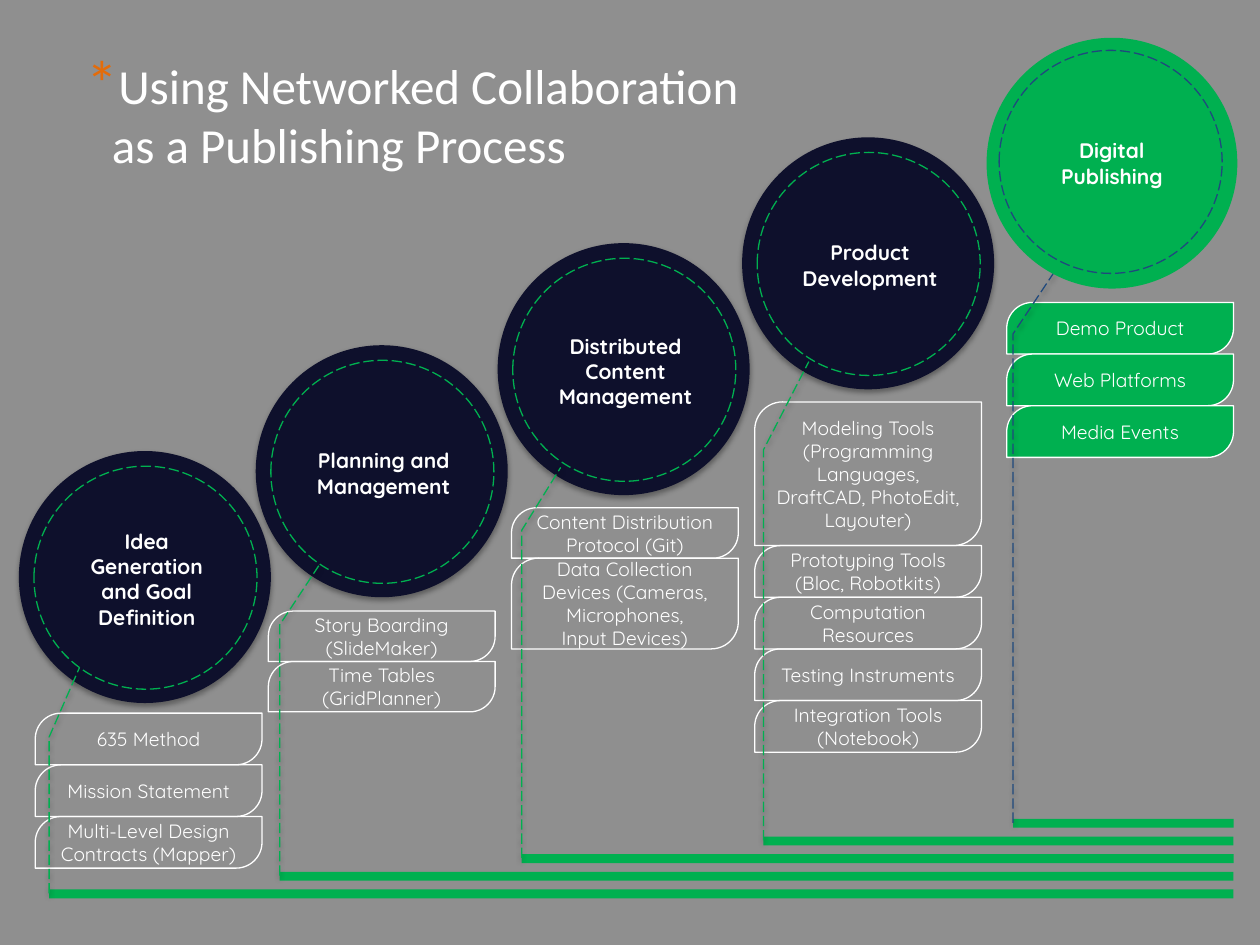
"""Build the networked collaboration staircase slide."""
from dataclasses import dataclass

import pptx
import pptx.dml.color
import pptx.enum.dml
import pptx.enum.shapes
import pptx.enum.text
import pptx.oxml
import pptx.oxml.ns
import pptx.util

Inches = pptx.util.Inches
Pt = pptx.util.Pt
RGBColor = pptx.dml.color.RGBColor
MSO_SHAPE = pptx.enum.shapes.MSO_SHAPE

WHITE = RGBColor(0xFF, 0xFF, 0xFF)
BLACK = RGBColor(0x00, 0x00, 0x00)
NAVY = RGBColor(0x1A, 0x1D, 0x4F)
GREEN = RGBColor(0x00, 0xB0, 0x50)
BLUE = RGBColor(0x1F, 0x49, 0x7D)
ORANGE = RGBColor(0xE4, 0x6C, 0x0A)

NS = pptx.oxml.ns.nsdecls("a")
SHADOW = (
    f'<a:effectLst {NS}><a:outerShdw blurRad="{Pt(3.1)}" dist="{Pt(1.8)}" dir="5400000" '
    'rotWithShape="0"><a:srgbClr val="000000"><a:alpha val="35000"/></a:srgbClr>'
    "</a:outerShdw></a:effectLst>"
)
LABEL = 1.99
RING = 1.77
ROW = 0.41
BAR_RIGHT = 9.79


@dataclass
class Stage:
    """One step: its circle, its boxes and the leader to its bar."""
    title: str
    circle: tuple
    boxes_at: tuple
    boxes: list
    bar_left: float
    elbow: float
    leader_end: tuple
    final: bool = False


STAGES = [
    Stage("Idea Generation and Goal Definition", (0.17, 3.6), (0.28, 5.66),
          [("635 Method", ROW), ("Mission Statement", ROW),
           ("Multi-Level Design Contracts (Mapper)", ROW)],
          0.39, 5.85, (0.63, 5.3)),
    Stage("Planning and Management", (2.05, 2.76), (2.13, 4.85),
          [("Story Boarding\n(SlideMaker)", 0.4), ("Time Tables\n(GridPlanner)", 0.4)],
          2.22, 4.96, (2.53, 4.49)),
    Stage("Distributed Content Management", (3.97, 1.95), (4.06, 4.03),
          [("Content Distribution Protocol (Git)", 0.4),
           ("Data Collection\nDevices (Cameras, Microphones,\nInput Devices)", 0.72)],
          4.14, 4.21, (4.45, 3.71)),
    Stage("Product Development", (5.91, 1.11), (5.99, 3.19),
          [("Modeling Tools\n(Programming Languages, DraftCAD, PhotoEdit, Layouter)", 1.14),
           ("Prototyping Tools\n(Bloc, Robotkits)", ROW), ("Computation Resources", ROW),
           ("Testing Instruments", ROW), ("Integration Tools\n(Notebook)", ROW)],
          6.06, 3.57, (6.42, 2.87)),
    Stage("Digital Publishing", (7.83, 0.3), (7.99, 2.4),
          [("Demo Product", ROW), ("Web Platforms", ROW), ("Media Events", ROW)],
          8.04, 2.65, (8.62, 1.78), True),
]


def write(sp, text, size=11, bold=False, font="Quicksand", color=WHITE,
          align=pptx.enum.text.PP_ALIGN.CENTER, anchor=pptx.enum.text.MSO_ANCHOR.MIDDLE):
    """Fill a shape with formatted paragraphs, one per line."""
    tf = sp.text_frame
    tf.word_wrap = True
    tf.vertical_anchor = anchor
    for i, line in enumerate(text.split("\n")):
        p = tf.add_paragraph() if i else tf.paragraphs[0]
        p.alignment = align
        r = p.add_run()
        r.text = line
        r.font.name = font
        r.font.size = Pt(size)
        r.font.bold = bold
        r.font.color.rgb = color


class Deck:
    """Holds the slide and draws its elements in one style."""

    def __init__(self, slide):
        self.s = slide
        self.line_width = Pt(0.75)

    def paint(self, sp, fill=None, line=None, dashed=False, shadow=False):
        """Set fill, outline and shadow."""
        sp.shadow.inherit = False
        if shadow:
            effects = sp._element.spPr.find(pptx.oxml.ns.qn("a:effectLst"))
            effects.getparent().replace(effects, pptx.oxml.parse_xml(SHADOW))
        if fill is None:
            sp.fill.background()
        else:
            sp.fill.solid()
            sp.fill.fore_color.rgb = fill
        if line is None:
            sp.line.fill.background()
        else:
            sp.line.color.rgb = line
            sp.line.width = self.line_width
            if dashed:
                sp.line.dash_style = pptx.enum.dml.MSO_LINE.LONG_DASH

    def shape(self, kind, x, y, w, h, **style):
        """Add a preset shape."""
        sp = self.s.shapes.add_shape(kind, Inches(x), Inches(y), Inches(w), Inches(h))
        self.paint(sp, **style)
        return sp

    def veil(self):
        """Dim everything drawn so far."""
        sp = self.shape(MSO_SHAPE.RECTANGLE, 0, 0, 10, 7.5, fill=BLACK)
        color = sp._element.spPr.find(".//" + pptx.oxml.ns.qn("a:srgbClr"))
        color.append(pptx.oxml.parse_xml(f'<a:alpha {NS} val="44000"/>'))

    def disc(self, stage):
        """Add the dark disc behind a circle."""
        x, y = stage.circle
        self.shape(MSO_SHAPE.OVAL, x - 0.02, y - 0.02, 2, 2, fill=NAVY, shadow=True)

    def boxes(self, stage):
        """Stack the boxes of a stage."""
        x, y = stage.boxes_at
        for text, height in stage.boxes:
            sp = self.shape(MSO_SHAPE.ROUND_2_DIAG_RECTANGLE, x, y, 1.8, height,
                            fill=GREEN if stage.final else None, line=WHITE)
            sp.adjustments[0] = min(0.5, 0.2 / height + 0.02)
            write(sp, text)
            y += height

    def leader(self, stage, bar_top):
        """Add the bar and the dashed line up to the circle."""
        x = stage.bar_left
        self.shape(MSO_SHAPE.RECTANGLE, x, bar_top, BAR_RIGHT - x, 0.07, fill=GREEN)
        fb = self.s.shapes.build_freeform(Inches(x), Inches(bar_top + 0.03))
        points = [(x, stage.elbow), stage.leader_end]
        fb.add_line_segments([(Inches(a), Inches(b)) for a, b in points], close=False)
        self.paint(fb.convert_to_shape(), line=BLUE if stage.final else GREEN,
                   dashed=True, shadow=True)

    def circle(self, stage):
        """Add the circle title and its dashed ring."""
        x, y = stage.circle
        sp = self.shape(MSO_SHAPE.OVAL, x, y, LABEL, LABEL,
                        fill=GREEN if stage.final else None)
        write(sp, stage.title, size=12, bold=True)
        self.shape(MSO_SHAPE.OVAL, x + 0.1, y + 0.1, RING, RING,
                   line=BLUE if stage.final else GREEN, dashed=True)

    def title(self, text):
        """Add the heading with its star bullet."""
        sp = self.s.shapes.add_textbox(Inches(0.54), Inches(0.39), Inches(5.76), Inches(1.41))
        pPr = sp.text_frame.paragraphs[0]._p.get_or_add_pPr()
        pPr.set("marL", str(Inches(0.25)))
        pPr.set("indent", str(Inches(-0.2)))
        for xml in (f'<a:buClr {NS}><a:srgbClr val="{ORANGE}"/></a:buClr>',
                    f'<a:buSzPct {NS} val="130000"/>',
                    f'<a:buFont {NS} typeface="Calibri"/>',
                    f'<a:buChar {NS} char="*"/>'):
            pPr.append(pptx.oxml.parse_xml(xml))
        write(sp, text, size=28, font="Calibri", align=pptx.enum.text.PP_ALIGN.LEFT,
              anchor=pptx.enum.text.MSO_ANCHOR.TOP)


def main():
    """Build and save the slide."""
    prs = pptx.Presentation()
    prs.slide_width, prs.slide_height = Inches(10), Inches(7.5)
    deck = Deck(prs.slides.add_slide(prs.slide_layouts[6]))
    for stage in STAGES[:-1]:
        deck.disc(stage)
    deck.veil()
    for stage in STAGES:
        deck.boxes(stage)
    for i, stage in enumerate(STAGES):
        deck.leader(stage, 7.06 - 0.14 * i)
    for stage in STAGES:
        deck.circle(stage)
    deck.title("Using Networked Collaboration as a Publishing Process")
    prs.save("out.pptx")


if __name__ == "__main__":
    main()
